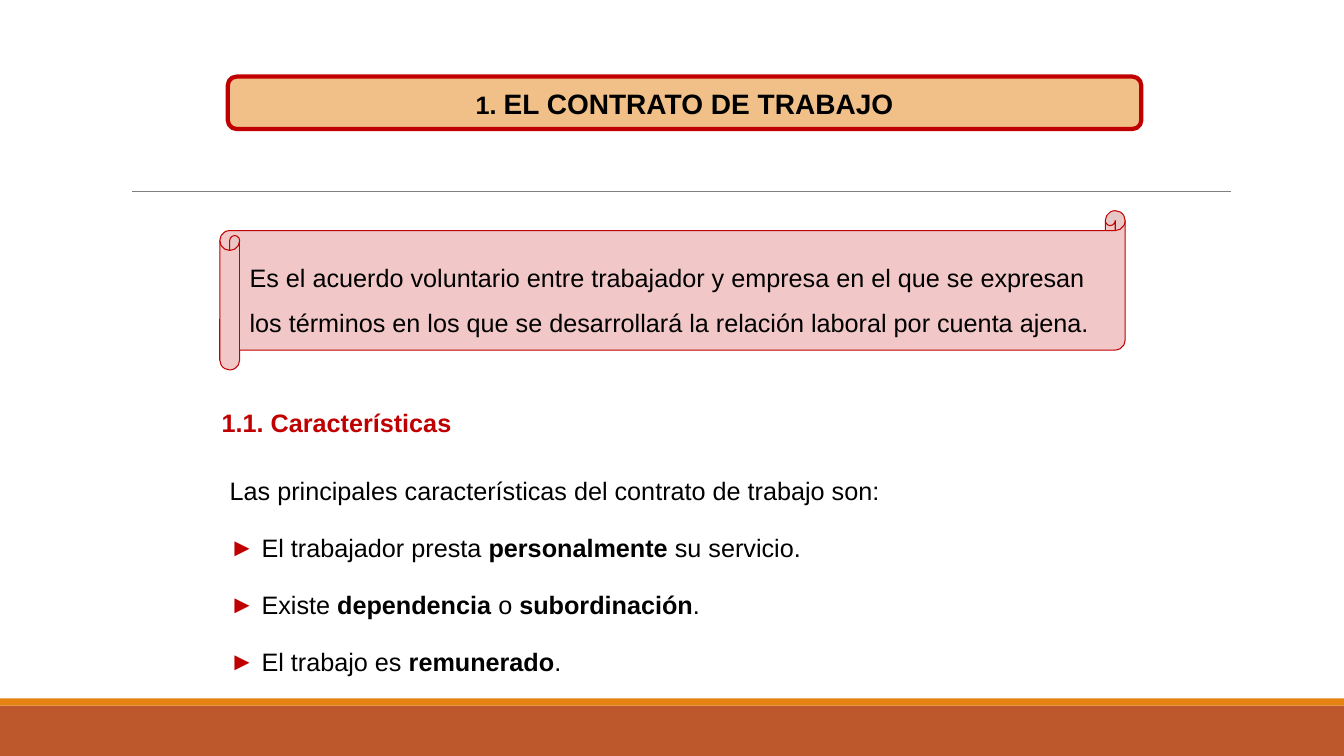
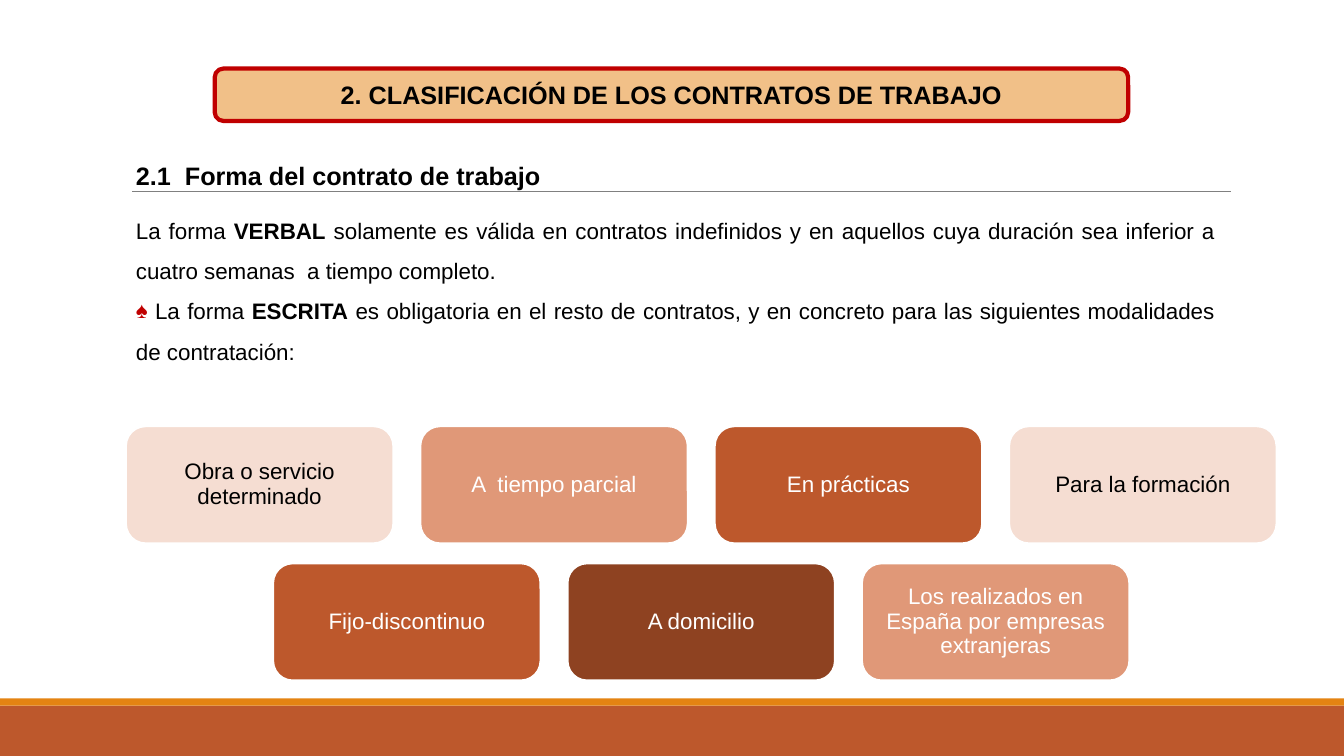
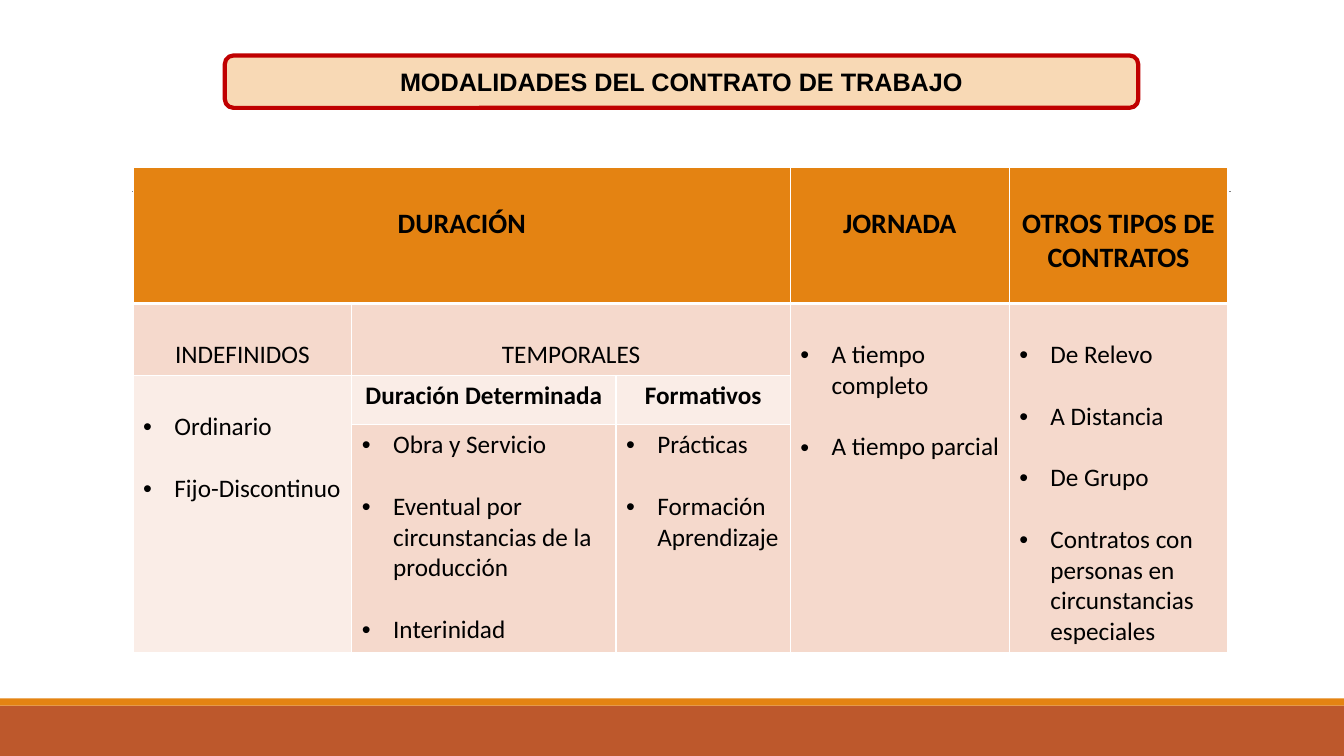
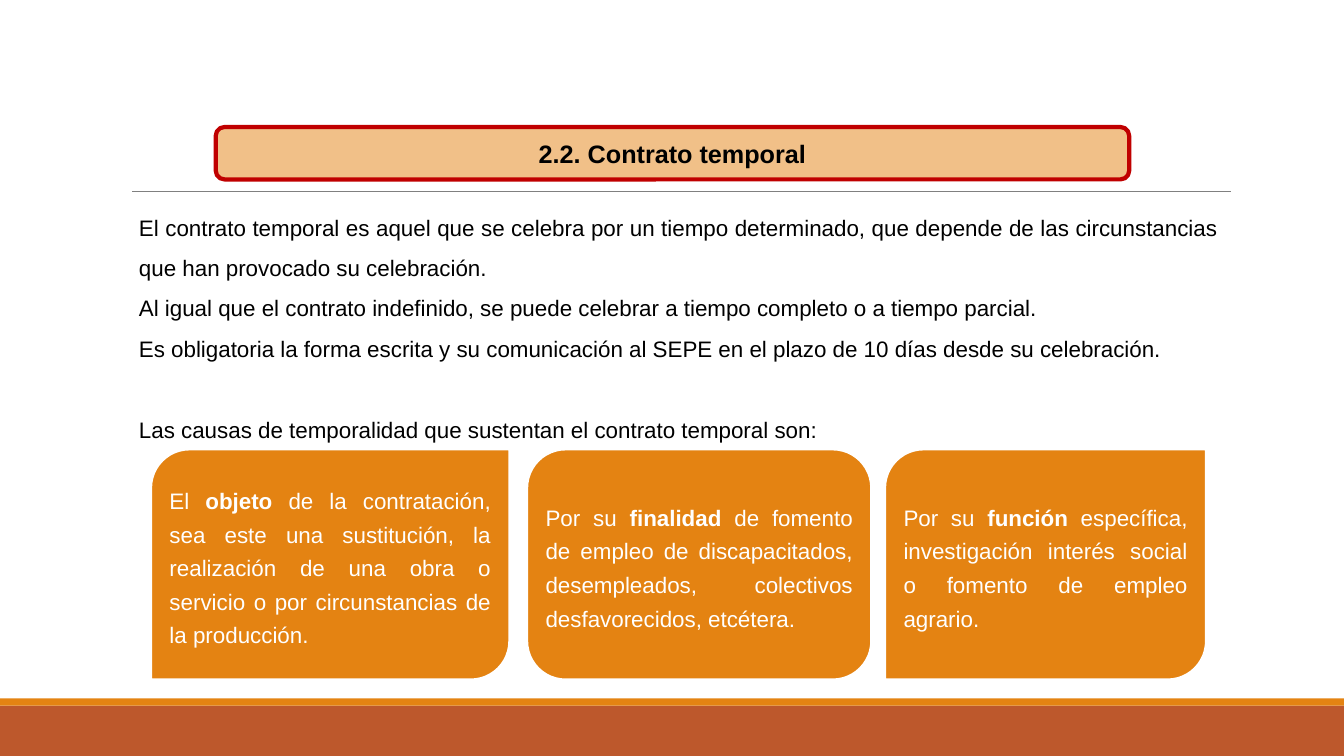
from dataclasses import dataclass
from typing import Optional

from lxml import etree
from pptx import Presentation
from pptx import slide as ps
from pptx import table as pt
from pptx import util as u
from pptx.dml import color as dc
from pptx.dml import fill as df
from pptx.enum import shapes as es
from pptx.enum import text as et
from pptx.oxml import ns
from pptx.shapes import autoshape as pa
from pptx.text import text as tt

COLORS = {
    "white": "FFFFFF", "black": "000000", "red": "C00000", "gray": "808080",
    "orange": "E48312", "amber": "F3B56C", "rust": "BD582C", "brown": "8E4221",
    "salmon": "E09878", "blush": "F5DDD2", "rose": "F5D9CC", "pale": "FAEDE7",
}
SHAPE = es.MSO_SHAPE
ALIGN = et.PP_ALIGN
ANCHOR = et.MSO_ANCHOR
DEFAULT_INSETS = (0.1, 0.05, 0.1, 0.05)
CARD_INSETS = (0.07, 0.07, 0.07, 0.07)


@dataclass(frozen=True)
class Box:
    left: float
    top: float
    width: float
    height: float

    def lengths(self) -> tuple[u.Length, ...]:
        return tuple(u.Inches(side) for side in (self.left, self.top, self.width, self.height))


@dataclass(frozen=True)
class Card:
    text: str
    fill: str
    color: str = "white"


@dataclass(frozen=True)
class Cause:
    text: str
    left: float
    width: float
    preset: es.MSO_SHAPE


@dataclass(frozen=True)
class TableCell:
    row: int
    column: int
    lines: tuple[str, ...]
    fill: str
    row_span: int = 1
    column_span: int = 1
    top: float = 0.05
    size: int = 18
    bold: bool = False
    bullet: Optional[str] = None


def rgb(name: str) -> dc.RGBColor:
    return dc.RGBColor.from_string(COLORS[name])


def paint(fill: df.FillFormat, color: str) -> None:
    fill.solid()
    fill.fore_color.rgb = rgb(color)


def add_bullet(paragraph: tt._Paragraph, mark: str, color: str, hanging: float) -> None:
    properties = paragraph._p.get_or_add_pPr()
    properties.set("marL", str(u.Inches(hanging)))
    properties.set("indent", str(-u.Inches(hanging)))
    bullet_color = etree.SubElement(properties, ns.qn("a:buClr"))
    etree.SubElement(bullet_color, ns.qn("a:srgbClr"), val=COLORS[color])
    etree.SubElement(properties, ns.qn("a:buFont"), typeface="Arial")
    etree.SubElement(properties, ns.qn("a:buChar"), char=mark)


def write(frame: tt.TextFrame, lines: tuple[str, ...], *, size: int = 18, font: str = "Arial",
          color: str = "black", bold: bool = False, align: ALIGN = ALIGN.LEFT,
          spacing: float = 1.0, after: float = 0, gaps: Optional[dict[int, float]] = None,
          bullets: Optional[dict[int, str]] = None, bullet_color: str = "red",
          hanging: float = 0) -> None:
    for index, line in enumerate(lines):
        paragraph = frame.add_paragraph() if index else frame.paragraphs[0]
        paragraph.alignment = align
        paragraph.line_spacing = spacing
        paragraph.space_before = u.Pt((gaps or {}).get(index, 0))
        paragraph.space_after = u.Pt(after)
        if bullets and index in bullets:
            add_bullet(paragraph, bullets[index], bullet_color, hanging)
        for position, piece in enumerate(line.split("**")):
            if piece:
                run = paragraph.add_run()
                run.text = piece
                run.font.name = font
                run.font.size = u.Pt(size)
                run.font.bold = bold or position % 2 == 1
                run.font.color.rgb = rgb(color)


def set_frame(frame: tt.TextFrame, insets: tuple[float, ...], anchor: ANCHOR) -> None:
    frame.word_wrap = True
    frame.vertical_anchor = anchor
    frame.margin_left, frame.margin_top, frame.margin_right, frame.margin_bottom = map(u.Inches, insets)


def add_shape(slide: ps.Slide, preset: es.MSO_SHAPE, box: Box, fill: str, *,
              line: Optional[str] = None, line_width: float = 1, opacity: int = 100,
              insets: tuple[float, ...] = DEFAULT_INSETS,
              anchor: ANCHOR = ANCHOR.MIDDLE) -> pa.Shape:
    shape = slide.shapes.add_shape(preset, *box.lengths())
    shape.shadow.inherit = False
    paint(shape.fill, fill)
    if opacity < 100:
        shade = shape._element.spPr.find(".//" + ns.qn("a:srgbClr"))
        etree.SubElement(shade, ns.qn("a:alpha"), val=str(opacity * 1000))
    if line:
        shape.line.color.rgb = rgb(line)
        shape.line.width = u.Pt(line_width)
    else:
        shape.line.fill.background()
    set_frame(shape.text_frame, insets, anchor)
    return shape


def add_text(slide: ps.Slide, box: Box, wrap: bool = True) -> tt.TextFrame:
    frame = slide.shapes.add_textbox(*box.lengths()).text_frame
    set_frame(frame, DEFAULT_INSETS, ANCHOR.TOP)
    frame.word_wrap = wrap
    return frame


def add_base(presentation: Presentation) -> ps.Slide:
    slide = presentation.slides.add_slide(presentation.slide_layouts[6])
    add_shape(slide, SHAPE.RECTANGLE, Box(0, 7, 13.33, 0.5), "rust")
    add_shape(slide, SHAPE.RECTANGLE, Box(0, 6.93, 13.33, 0.07), "orange")
    rule = slide.shapes.add_connector(
        es.MSO_CONNECTOR.STRAIGHT, u.Inches(1.31), u.Inches(1.9), u.Inches(12.21), u.Inches(1.9))
    rule.line.color.rgb = rgb("gray")
    rule.line.width = u.Pt(0.5)
    etree.SubElement(rule._element.spPr, ns.qn("a:effectLst"))
    return slide


def add_banner(slide: ps.Slide, left: float, top: float, title: str, fill: str = "orange") -> pa.Shape:
    banner = add_shape(slide, SHAPE.ROUNDED_RECTANGLE, Box(left, top, 9.06, 0.52), fill,
                       line="red", line_width=3, opacity=50)
    write(banner.text_frame, (title,), bold=True, align=ALIGN.CENTER)
    return banner


def add_card(slide: ps.Slide, preset: es.MSO_SHAPE, box: Box, fill: str) -> tt.TextFrame:
    return add_shape(slide, preset, box, fill, line="white", line_width=1.25,
                     insets=CARD_INSETS).text_frame


def build_contract(presentation: Presentation) -> None:
    slide = add_base(presentation)
    banner = add_banner(slide, 2.26, 0.76, "1. **EL CONTRATO DE TRABAJO**")
    banner.text_frame.paragraphs[0].runs[1].font.size = u.Pt(20)
    scroll = add_shape(slide, SHAPE.HORIZONTAL_SCROLL, Box(2.18, 2.09, 8.98, 1.58), "red",
                       line="red", line_width=0.75, opacity=22,
                       insets=(0.1, 0.16, 0.1, 0.05), anchor=ANCHOR.TOP)
    write(scroll.text_frame, (
        "Es el acuerdo voluntario entre trabajador y empresa en el que se expresan los términos "
        "en los que se desarrollará la relación laboral por cuenta ajena.",), spacing=1.5)
    write(add_text(slide, Box(2.18, 4.46, 9.06, 2.33)), (
        "Las principales características del contrato de trabajo son:",
        " El trabajador presta **personalmente** su servicio.",
        " Existe **dependencia **o **subordinación**.",
        " El trabajo es **remunerado**.",
    ), spacing=1.7, after=4, bullets=dict.fromkeys((1, 2, 3), "►"))
    write(add_text(slide, Box(2.1, 3.99, 9.37, 0.4)), ("1.1. Características",),
          color="red", bold=True)


def build_classification(presentation: Presentation) -> None:
    slide = add_base(presentation)
    add_banner(slide, 2.13, 0.68, "2. CLASIFICACIÓN DE LOS CONTRATOS DE TRABAJO")
    write(add_text(slide, Box(1.25, 1.97, 10.9, 2.07)), (
        "La forma **VERBAL** solamente es válida en contratos indefinidos y en aquellos cuya "
        "duración sea inferior a cuatro semanas  a tiempo completo.",
        " La forma **ESCRITA** es obligatoria en el resto de contratos, y en concreto para las "
        "siguientes modalidades de contratación:",
    ), size=16, align=ALIGN.JUSTIFY, spacing=1.5, bullets={1: "♠"})
    card_rows = (
        (Card("Obra o servicio determinado", "blush", "black"),
         Card("A  tiempo parcial", "salmon"),
         Card("En prácticas", "rust"),
         Card("Para la formación", "blush", "black")),
        (Card("Fijo-discontinuo", "rust"),
         Card("A domicilio", "brown"),
         Card("Los realizados en España por empresas extranjeras", "salmon")),
    )
    step = 2.92
    for row, cards in enumerate(card_rows):
        start = 1.25 + (len(card_rows[0]) - len(cards)) * step / 2
        for column, card in enumerate(cards):
            box = Box(start + column * step, 4.23 + row * 1.36, 2.65, 1.16)
            write(add_card(slide, SHAPE.ROUNDED_RECTANGLE, box, card.fill), (card.text,),
                  size=16, color=card.color, align=ALIGN.CENTER, spacing=0.9)
    write(add_text(slide, Box(1.25, 1.39, 4.26, 0.56), wrap=False),
          ("2.1  Forma del contrato de trabajo",), bold=True, align=ALIGN.JUSTIFY, spacing=1.5)


def set_borders(cell: pt._Cell, bottom_width: float) -> None:
    properties = cell._tc.get_or_add_tcPr()
    widths = {"a:lnL": 1, "a:lnR": 1, "a:lnT": 1, "a:lnB": bottom_width}
    for index, (tag, width) in enumerate(widths.items()):
        border = etree.Element(ns.qn(tag), w=str(u.Pt(width)))
        fill = etree.SubElement(border, ns.qn("a:solidFill"))
        etree.SubElement(fill, ns.qn("a:srgbClr"), val=COLORS["white"])
        properties.insert(index, border)


def fill_cell(table: pt.Table, content: TableCell) -> None:
    cell = table.cell(content.row, content.column)
    if content.row_span * content.column_span > 1:
        cell.merge(table.cell(content.row + content.row_span - 1,
                              content.column + content.column_span - 1))
    for row in range(content.row, content.row + content.row_span):
        for column in range(content.column, content.column + content.column_span):
            paint(table.cell(row, column).fill, content.fill)
    cell.margin_top = u.Inches(content.top)
    positions = range(len(content.lines))
    bulleted = content.bullet is not None
    write(cell.text_frame, content.lines, size=content.size, font="Calibri", bold=content.bold,
          align=ALIGN.LEFT if bulleted else ALIGN.CENTER,
          gaps=dict.fromkeys(positions[1:], 22),
          bullets=dict.fromkeys(positions, content.bullet) if bulleted else None,
          bullet_color="black", hanging=0.31)


def build_modalities(presentation: Presentation) -> None:
    slide = add_base(presentation)
    add_banner(slide, 2.23, 0.55, "MODALIDADES DEL CONTRATO DE TRABAJO", "amber")
    widths = (2.17, 2.62, 1.73, 2.17, 2.17)
    heights = (1.35, 0.62, 0.49, 1.96)
    box = Box(1.32, 1.66, sum(widths), sum(heights))
    table = slide.shapes.add_table(len(heights), len(widths), *box.lengths()).table
    table.first_row = False
    table.horz_banding = False
    for column, width in zip(table.columns, widths):
        column.width = u.Inches(width)
    for index, (row, height) in enumerate(zip(table.rows, heights)):
        row.height = u.Inches(height)
        for cell in row.cells:
            set_borders(cell, 1 if index else 3)
    heading = {"fill": "orange", "top": 0.39, "size": 20, "bold": True}
    lowered = 0.36
    cells = (
        TableCell(0, 0, ("DURACIÓN",), column_span=3, **heading),
        TableCell(0, 3, ("JORNADA",), **heading),
        TableCell(0, 4, ("OTROS TIPOS DE CONTRATOS",), **heading),
        TableCell(1, 0, ("INDEFINIDOS",), "rose", top=lowered),
        TableCell(1, 1, ("TEMPORALES",), "rose", column_span=2, top=lowered),
        TableCell(1, 3, ("A tiempo completo", "A tiempo parcial"), "rose",
                  row_span=3, top=lowered, bullet="•"),
        TableCell(1, 4, ("De Relevo", "A Distancia", "De Grupo",
                         "Contratos con personas en circunstancias especiales"), "rose",
                  row_span=3, top=lowered, bullet="•"),
        TableCell(2, 0, ("Ordinario", "Fijo-Discontinuo"), "pale",
                  row_span=2, top=lowered, bullet="•"),
        TableCell(2, 1, ("Duración Determinada",), "pale", bold=True),
        TableCell(2, 2, ("Formativos",), "pale", bold=True),
        TableCell(3, 1, ("Obra y Servicio", "Eventual por circunstancias de la producción",
                         "Interinidad"), "rose", bullet="•"),
        TableCell(3, 2, ("Prácticas", "Formación Aprendizaje"), "rose", bullet="•"),
    )
    for content in cells:
        fill_cell(table, content)


def build_temporary(presentation: Presentation) -> None:
    slide = add_base(presentation)
    add_banner(slide, 2.14, 1.26, "2.2. Contrato temporal")
    write(add_text(slide, Box(1.28, 1.94, 10.9, 2.52)), (
        "El contrato temporal es aquel que se celebra por un tiempo determinado, que depende de "
        "las circunstancias que han provocado su celebración.",
        "Al igual que el contrato indefinido, se puede celebrar a tiempo completo o a tiempo parcial.",
        "Es obligatoria la forma escrita y su comunicación al SEPE en el plazo de 10 días desde su "
        "celebración.",
        "Las causas de temporalidad que sustentan el contrato temporal son:",
    ), size=16, align=ALIGN.JUSTIFY, spacing=1.5, gaps={3: 29})
    causes = (
        Cause("El **objeto** de la contratación, sea este una sustitución, la realización de una "
              "obra o servicio o por circunstancias de la producción.",
              1.5, 3.55, SHAPE.ROUND_2_DIAG_RECTANGLE),
        Cause("Por su **finalidad** de fomento de empleo de discapacitados, desempleados, "
              "colectivos desfavorecidos, etcétera.", 5.23, 3.41, SHAPE.ROUNDED_RECTANGLE),
        Cause("Por su **función** específica, investigación interés social o fomento de empleo "
              "agrario.", 8.78, 3.18, SHAPE.ROUND_2_DIAG_RECTANGLE),
    )
    for cause in causes:
        box = Box(cause.left, 4.46, cause.width, 2.28)
        write(add_card(slide, cause.preset, box, "orange"), (cause.text,),
              size=16, color="white", align=ALIGN.JUSTIFY, spacing=1.25)


def main() -> None:
    presentation = Presentation()
    presentation.slide_width = u.Inches(13.33)
    presentation.slide_height = u.Inches(7.5)
    for build in (build_contract, build_classification, build_modalities, build_temporary):
        build(presentation)
    presentation.save("out.pptx")


if __name__ == "__main__":
    main()
